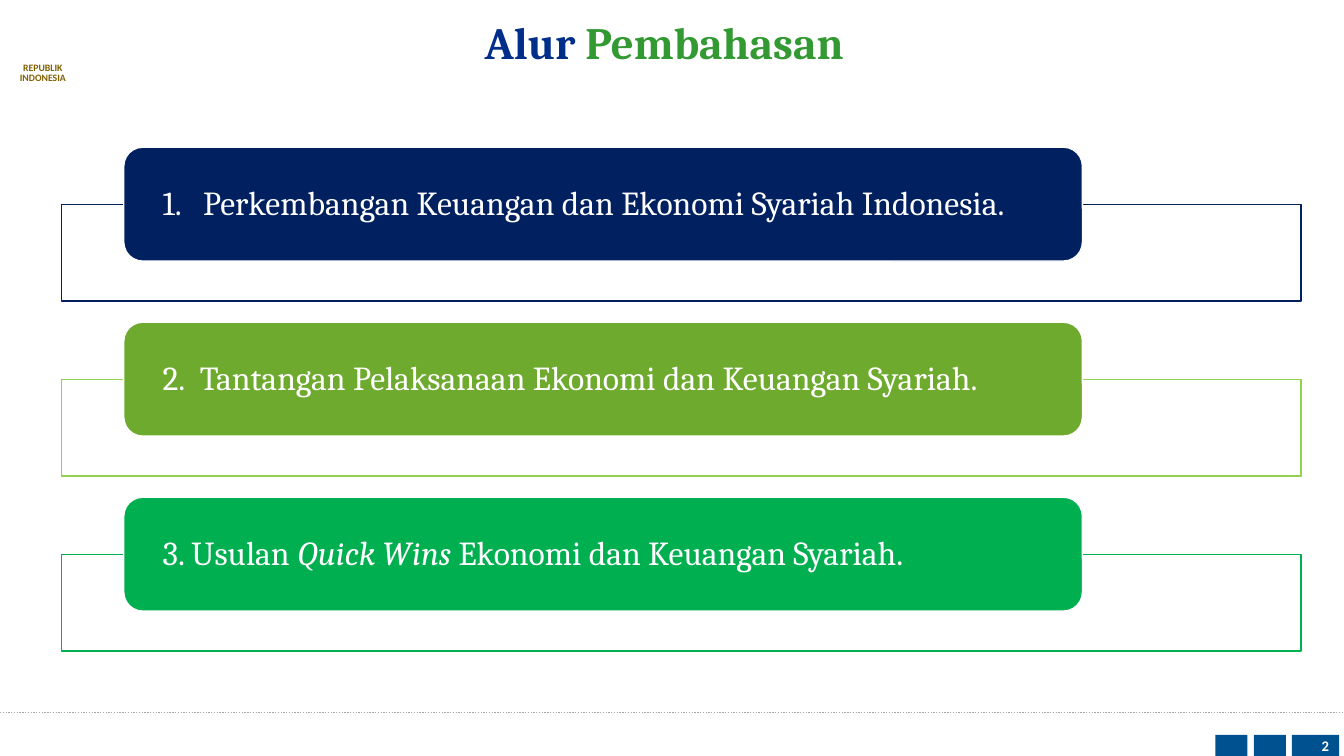
from pptx import Presentation, util as u
from pptx.dml.color import RGBColor
from pptx.enum import dml, shapes, text
from pptx.oxml.ns import qn
from lxml import etree

Cm, Pt = u.Cm, u.Pt
HEX = {"white": "FFFFFF", "navy": "002060", "lime": "92D050", "leaf": "6EAA2E",
       "green": "00B050", "blue": "002E89", "grass": "339933", "gold": "806000",
       "bar": "00518F", "grey": "A6A6A6"}

# Content: runs are (words, colour, italic)
TITLE = [("Alur ", "blue", False), ("Pembahasan", "grass", False)]
STATE = [("REPUBLIK INDONESIA", "gold", False)]
PAGE = [("2", "white", False)]
# Topics: box fill, frame line, hanging indent in cm, auto number, runs
TOPICS = [
    ("navy", "navy", 1.02, True,
     [("Perkembangan Keuangan dan Ekonomi Syariah Indonesia.", "white", False)]),
    ("leaf", "lime", 0.94, False,
     [("2.\tTantangan Pelaksanaan Ekonomi dan Keuangan Syariah.", "white", False)]),
    ("green", "green", 0, False,
     [("3. Usulan ", "white", False), ("Quick Wins ", "white", True),
      ("Ekonomi dan Keuangan Syariah.", "white", False)]),
]
BARS = [(30.63, 0.81), (31.6, 0.81), (32.56, 1.19)]  # left, width
TOP, STEP = 3.71, 4.41

deck = Presentation()
deck.slide_width, deck.slide_height = Cm(33.87), Cm(19.05)
slide = deck.slides.add_slide(deck.slide_layouts[6])
KIND = shapes.MSO_SHAPE
ALIGN = text.PP_ALIGN


def rgb(name):
    return RGBColor.from_string(HEX[name])


def block(kind, at, fill, line=None):
    shape = slide.shapes.add_shape(kind, *map(Cm, at))
    shape.shadow.inherit = False
    shape.fill.solid()
    shape.fill.fore_color.rgb = rgb(fill)
    if line:
        shape.line.color.rgb = rgb(line)
        shape.line.width = Pt(1)
    else:
        shape.line.fill.background()
    return shape


def write(shape, runs, font, size, align, bold=False, gap=None):
    frame = shape.text_frame
    frame.word_wrap = True
    frame.vertical_anchor = text.MSO_ANCHOR.MIDDLE
    para = frame.paragraphs[0]
    para.alignment = align
    if gap:
        para.line_spacing = gap
    for words, tint, slant in runs:
        run = para.add_run()
        run.text = words
        run.font.name, run.font.size = font, Pt(size)
        run.font.bold, run.font.italic = bold, slant
        run.font.color.rgb = rgb(tint)
    return para


def label(at, *style):
    return write(slide.shapes.add_textbox(*map(Cm, at)), *style)


# Footer bars and dotted rule
for left, width in BARS:
    block(KIND.RECTANGLE, (left, 18.52, width, 0.53), "bar")
rule = slide.shapes.add_connector(shapes.MSO_CONNECTOR.STRAIGHT,
                                  0, Cm(17.96), deck.slide_width, Cm(17.96))
rule.line.color.rgb = rgb("grey")
rule.line.width = Pt(1)
rule.line.dash_style = dml.MSO_LINE.ROUND_DOT
etree.SubElement(rule.element.spPr, qn("a:effectLst"))

# Heading, state name and page number
label((0.13, 1.47, 1.9, 0.76), STATE, "Calibri", 7, ALIGN.CENTER, True, Pt(7))
label((3, 0.1, 27.48, 2.06), TITLE, "Cambria", 32, ALIGN.CENTER, True, 0.9)
label((32.39, 18.52, 1.35, 0.56), PAGE, "Calibri", 10.5, ALIGN.RIGHT, True)

# Topics: a thin frame behind a rounded box
for row, (fill, line, hang, auto, runs) in enumerate(TOPICS):
    top = TOP + row * STEP
    frame = block(KIND.RECTANGLE, (1.55, top + 1.44, 31.24, 2.44), "white", line)
    tint = frame.fill._xPr.find(qn("a:solidFill"))[0]
    etree.SubElement(tint, qn("a:alpha"), val="90000")

    box = block(KIND.ROUNDED_RECTANGLE, (3.12, top, 24.16, 2.87), fill, "white")
    body = box.text_frame
    body.margin_left = body.margin_right = Cm(0.84)
    body.margin_top = body.margin_bottom = 0
    para = write(box, runs, "Cambria", 24, ALIGN.LEFT, gap=0.9)
    if hang:
        props = para._p.get_or_add_pPr()
        props.set("marL", str(Cm(hang)))
        props.set("indent", str(-Cm(hang)))
        if auto:
            etree.SubElement(props, qn("a:buFont"), typeface="+mj-lt")
            etree.SubElement(props, qn("a:buAutoNum"), type="arabicPeriod")

deck.save("out.pptx")
